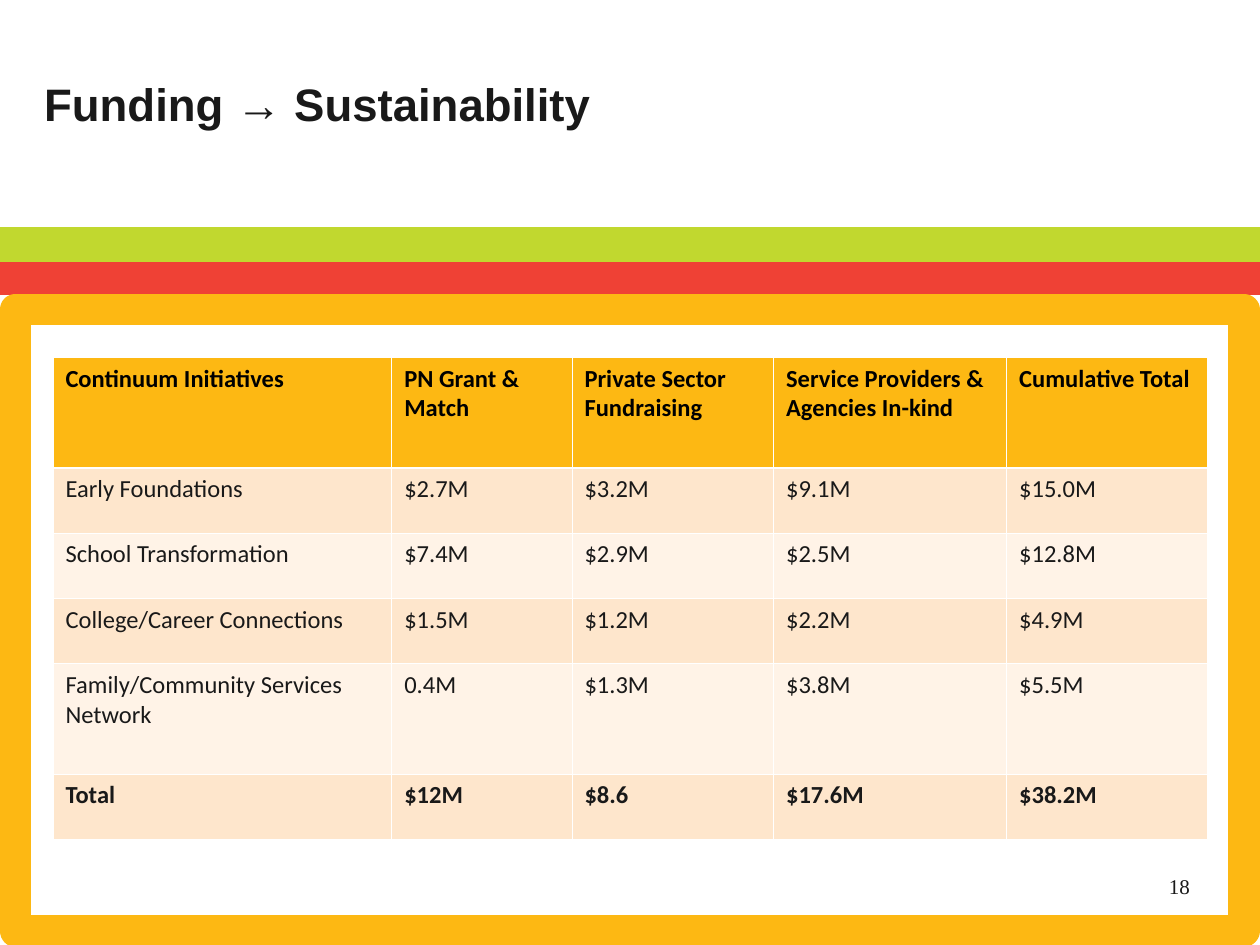
import dataclasses
import typing

import lxml.etree
import pptx
import pptx.dml.color
import pptx.enum.shapes
import pptx.enum.text
import pptx.oxml.ns
import pptx.util

Pt = pptx.util.Pt
Align = pptx.enum.text.PP_ALIGN
Anchor = pptx.enum.text.MSO_ANCHOR
Kind = pptx.enum.shapes.MSO_SHAPE


@dataclasses.dataclass(frozen=True)
class Theme:
    ink: str = "191919"
    black: str = "000000"
    white: str = "FFFFFF"
    red: str = "EF4135"
    green: str = "C1D82F"
    gold: str = "FDB813"
    peach: str = "FEE6CC"
    cream: str = "FFF3E7"
    head: str = "Arial"
    body: str = "Calibri"
    serif: str = "Times New Roman"
    title: float = 26
    cell: float = 14
    page: float = 12
    thin: float = 0.45
    thick: float = 1.47


@dataclasses.dataclass(frozen=True)
class Box:
    left: float
    top: float
    width: float
    height: float
    fill: typing.Optional[str] = None
    line: typing.Optional[str] = None
    weight: float = 0
    kind: Kind = Kind.RECTANGLE


THEME = Theme()
BOXES = [
    Box(0, 149.8, 720, 18, THEME.red, THEME.red, 2),
    Box(0, 131, 720, 18, THEME.green, THEME.green, 2),
    Box(8.75, 177, 702, 355, line=THEME.gold, weight=18),
]
PAGE = Box(653.8, 491.8, 48, 26.6, kind=Kind.OVAL)
TITLE = Box(18, 39.6, 468, 38.9)
GRID = Box(30.25, 204.3, 660, 275.6)
COLS = [193.6, 103, 115.2, 133.2, 115]
ROWS = [63.2, 37.3, 37.3, 37.3, 63.2, 37.3]
DATA = [
    ["Continuum Initiatives", "PN Grant & Match", "Private Sector Fundraising",
     "Service Providers & Agencies In-kind", "Cumulative Total"],
    ["Early Foundations", "$2.7M", "$3.2M", "$9.1M", "$15.0M"],
    ["School Transformation", "$7.4M", "$2.9M", "$2.5M", "$12.8M"],
    ["College/Career Connections", "$1.5M", "$1.2M", "$2.2M", "$4.9M"],
    ["Family/Community Services Network", "0.4M", "$1.3M", "$3.8M", "$5.5M"],
    ["Total", "$12M", "$8.6", "$17.6M", "$38.2M"],
]


def tint(code: str) -> pptx.dml.color.RGBColor:
    return pptx.dml.color.RGBColor.from_string(code)


def write(frame, text: str, *, font: str, size: float,
          color: str = THEME.ink, bold: bool = False) -> None:
    frame.word_wrap = True
    frame.vertical_anchor = Anchor.TOP
    para = frame.paragraphs[0]
    para.alignment = Align.LEFT
    run = para.add_run()
    run.text = text
    run.font.name = font
    run.font.size = Pt(size)
    run.font.bold = bold
    run.font.color.rgb = tint(color)


def draw(slide, box: Box):
    shape = slide.shapes.add_shape(
        box.kind, Pt(box.left), Pt(box.top), Pt(box.width), Pt(box.height))
    shape.shadow.inherit = False
    if box.fill:
        shape.fill.solid()
        shape.fill.fore_color.rgb = tint(box.fill)
    else:
        shape.fill.background()
    if box.line:
        shape.line.color.rgb = tint(box.line)
        shape.line.width = Pt(box.weight)
    else:
        shape.line.fill.background()
    return shape


def edge(cell, side: str, weight: float) -> None:
    name = pptx.oxml.ns.qn
    props = cell._tc.get_or_add_tcPr()
    line = lxml.etree.SubElement(props, name(f"a:ln{side}"), w=str(Pt(weight)))
    fill = lxml.etree.SubElement(line, name("a:solidFill"))
    lxml.etree.SubElement(fill, name("a:srgbClr"), val=THEME.white)


def shade(row: int) -> str:
    if row == 0:
        return THEME.gold
    return THEME.peach if row % 2 else THEME.cream


def tabulate(slide) -> None:
    table = slide.shapes.add_table(
        len(ROWS), len(COLS), Pt(GRID.left), Pt(GRID.top),
        Pt(GRID.width), Pt(GRID.height)).table
    for col, width in zip(table.columns, COLS):
        col.width = Pt(width)
    for r, (height, texts) in enumerate(zip(ROWS, DATA)):
        table.rows[r].height = Pt(height)
        for c, text in enumerate(texts):
            cell = table.cell(r, c)
            for side in "LRTB":
                heavy = (r, side) in ((0, "B"), (1, "T"))
                edge(cell, side, THEME.thick if heavy else THEME.thin)
            cell.fill.solid()
            cell.fill.fore_color.rgb = tint(shade(r))
            write(cell.text_frame, text, font=THEME.body, size=THEME.cell,
                  color=THEME.ink if r else THEME.black,
                  bold=r in (0, len(ROWS) - 1))


def main() -> None:
    deck = pptx.Presentation()
    deck.slide_width, deck.slide_height = Pt(720), Pt(540)
    slide = deck.slides.add_slide(deck.slide_layouts.get_by_name("Title Only"))
    for box in BOXES:
        draw(slide, box)
    page = draw(slide, PAGE)
    write(page.text_frame, "18", font=THEME.serif, size=THEME.page)
    title = slide.shapes.title
    title.left, title.top = Pt(TITLE.left), Pt(TITLE.top)
    title.width, title.height = Pt(TITLE.width), Pt(TITLE.height)
    title.text_frame.auto_size = pptx.enum.text.MSO_AUTO_SIZE.SHAPE_TO_FIT_TEXT
    write(title.text_frame, "Funding → Sustainability",
          font=THEME.head, size=THEME.title, bold=True)
    tabulate(slide)
    deck.save("out.pptx")


if __name__ == "__main__":
    main()
